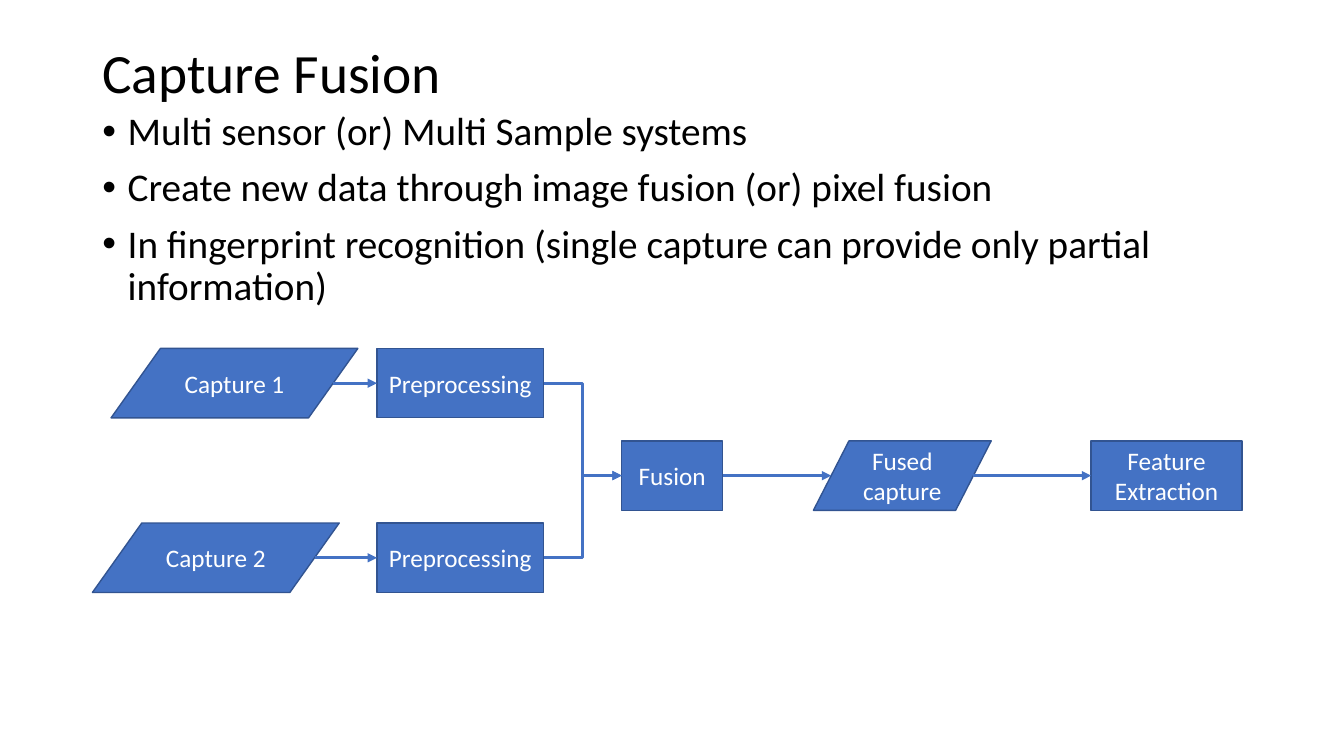
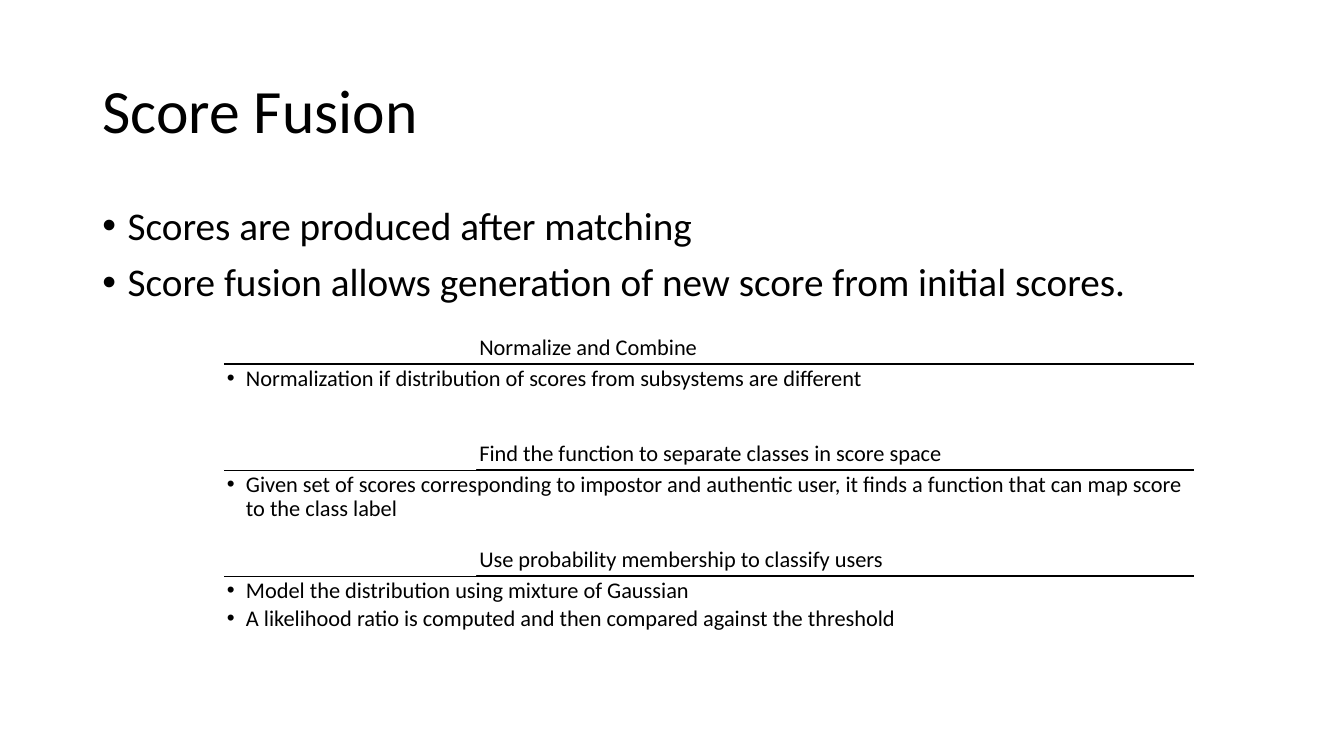
"""Builds two slides on capture fusion and score fusion."""
from lxml import etree
from pptx import Presentation
from pptx.dml.color import RGBColor
from pptx.enum.shapes import MSO_CONNECTOR, MSO_SHAPE
from pptx.enum.text import MSO_ANCHOR, PP_ALIGN
from pptx.oxml.ns import qn
from pptx.util import Cm, Pt

STRAIGHT, ELBOW = MSO_CONNECTOR.STRAIGHT, MSO_CONNECTOR.ELBOW
RECT, DATA = MSO_SHAPE.RECTANGLE, MSO_SHAPE.FLOWCHART_DATA
TAB = MSO_SHAPE.ROUND_2_SAME_RECTANGLE
TOP, MIDDLE, BOTTOM = MSO_ANCHOR.TOP, MSO_ANCHOR.MIDDLE, MSO_ANCHOR.BOTTOM
CENTER = PP_ALIGN.CENTER
BLACK = RGBColor(0x00, 0x00, 0x00)
WHITE = RGBColor(0xFF, 0xFF, 0xFF)
BLUE = RGBColor(0x44, 0x72, 0xC4)
NAVY = RGBColor(0x32, 0x54, 0x91)
FONT = "Calibri"
LEFT, WIDE = 2.33, 29.21


def add_text(slide, box, lines, size, anchor=TOP, indent=0, gap=0, inset=None):
    frame = slide.shapes.add_textbox(*[Cm(n) for n in box]).text_frame
    frame.word_wrap = True
    frame.vertical_anchor = anchor
    if inset is not None:
        frame.margin_left = frame.margin_right = Cm(inset)
        frame.margin_top = frame.margin_bottom = Cm(inset)
    frame.text = "\n".join(lines)
    for i, para in enumerate(frame.paragraphs):
        para.line_spacing = 0.9
        if i:
            para.space_before = Pt(gap)
        if indent:
            props = para._p.get_or_add_pPr()
            props.set("marL", str(Cm(indent)))
            props.set("indent", str(-Cm(indent)))
            etree.SubElement(props, qn("a:buFont"), typeface="Arial")
            etree.SubElement(props, qn("a:buChar"), char="•")
        for run in para.runs:
            run.font.name = FONT
            run.font.size = Pt(size)
            run.font.color.rgb = BLACK


def add_line(slide, kind, start, stop, color, width, arrow=False):
    line = slide.shapes.add_connector(kind, *[Cm(n) for n in start + stop])
    line.line.color.rgb = color
    line.line.width = Pt(width)
    if arrow:
        etree.SubElement(line.line._get_or_add_ln(), qn("a:tailEnd"), type="triangle")
    etree.SubElement(line._element.spPr, qn("a:effectLst"))
    return line


deck = Presentation()
deck.slide_width, deck.slide_height = Cm(33.87), Cm(19.05)
blank = deck.slide_layouts[6]

PAGES = [
    ("Capture Fusion", 39.6, 1.02, 1.75, 2.69, 5.84, [
        "Multi sensor (or) Multi Sample systems",
        "Create new data through image fusion (or) pixel fusion",
        "In fingerprint recognition (single capture can provide only partial information)",
    ]),
    ("Score Fusion", 44, 1.02, 3.68, 5.08, 12.09, [
        "Scores are produced after matching",
        "Score fusion allows generation of new score from initial scores.",
    ]),
]
slides = []
for title, size, top, high, below, deep, points in PAGES:
    slide = deck.slides.add_slide(blank)
    add_text(slide, (LEFT, top, WIDE, high), [title], size, MIDDLE)
    add_text(slide, (LEFT, below, WIDE, deep), points, 28, indent=0.64, gap=10)
    slides.append(slide)
flow, score = slides

HIGH = 1.75
UPPER, CENTRAL, LOWER = 8.78, 11.11, 13.18
NODES = {
    "cap1": ("Capture 1", DATA, 2.8, UPPER, 6.22),
    "cap2": ("Capture 2", DATA, LEFT, LOWER, 6.22),
    "prep1": ("Preprocessing", RECT, 9.5, UPPER, 4.2),
    "prep2": ("Preprocessing", RECT, 9.5, LOWER, 4.2),
    "fusion": ("Fusion", RECT, 15.67, CENTRAL, 2.54),
    "fused": ("Fused capture", DATA, 20.5, CENTRAL, 4.48),
    "feature": ("Feature Extraction", RECT, 27.5, CENTRAL, 3.8),
}
shapes, entry, leave = {}, {}, {}
for key, (label, kind, x, y, width) in NODES.items():
    node = flow.shapes.add_shape(kind, Cm(x), Cm(y), Cm(width), Cm(HIGH))
    node.shadow.inherit = False
    node.fill.solid()
    node.fill.fore_color.rgb = BLUE
    node.line.color.rgb = NAVY
    node.line.width = Pt(1)
    frame = node.text_frame
    frame.text = label
    frame.word_wrap = True
    frame.vertical_anchor = MIDDLE
    para = frame.paragraphs[0]
    para.alignment = CENTER
    para.font.name = FONT
    para.font.size = Pt(18)
    para.font.color.rgb = WHITE
    slant = width / 10 if kind == DATA else 0
    shapes[key] = node
    entry[key] = (x + slant, y + HIGH / 2)
    leave[key] = (x + width - slant, y + HIGH / 2)

LINKS = [
    ("cap1", "prep1", STRAIGHT),
    ("cap2", "prep2", STRAIGHT),
    ("prep1", "fusion", ELBOW),
    ("prep2", "fusion", ELBOW),
    ("fusion", "fused", STRAIGHT),
    ("fused", "feature", STRAIGHT),
]
for tail, head, kind in LINKS:
    link = add_line(flow, kind, leave[tail], entry[head], BLUE, 2.25, arrow=True)
    if NODES[tail][1] == RECT:
        link.begin_connect(shapes[tail], 3)
    if NODES[head][1] == RECT:
        link.end_connect(shapes[head], 1)

STEPS = [
    ("Normalize and Combine", [
        "Normalization if distribution of scores from subsystems are different",
    ]),
    ("Find the function to separate classes in score space", [
        "Given set of scores corresponding to impostor and authentic user, "
        "it finds a function that can map score to the class label",
    ]),
    ("Use probability membership to classify users", [
        "Model the distribution using mixture of Gaussian",
        "A likelihood ratio is computed and then compared against the threshold",
    ]),
]
EDGE, SPAN, SIDE, HEAD, BODY = 5.64, 24.46, 6.36, 0.86, 1.75
FIRST, PITCH, INSET = 9.17, 2.67, 0.08
for i, (name, notes) in enumerate(STEPS):
    y = FIRST + i * PITCH
    add_line(score, STRAIGHT, (EDGE, y), (EDGE + SPAN, y), BLACK, 1)
    if i:
        tab = score.shapes.add_shape(TAB, Cm(EDGE), Cm(y - HEAD), Cm(SIDE), Cm(HEAD))
        tab.shadow.inherit = False
        tab.fill.solid()
        tab.fill.fore_color.rgb = WHITE
        tab.line.fill.background()
    add_text(score, (EDGE + SIDE, y - HEAD, SPAN - SIDE, HEAD), [name], 16, BOTTOM, inset=INSET)
    add_text(score, (EDGE, y, SPAN, BODY), notes, 16, indent=0.48, gap=3, inset=INSET)

deck.save("out.pptx")
